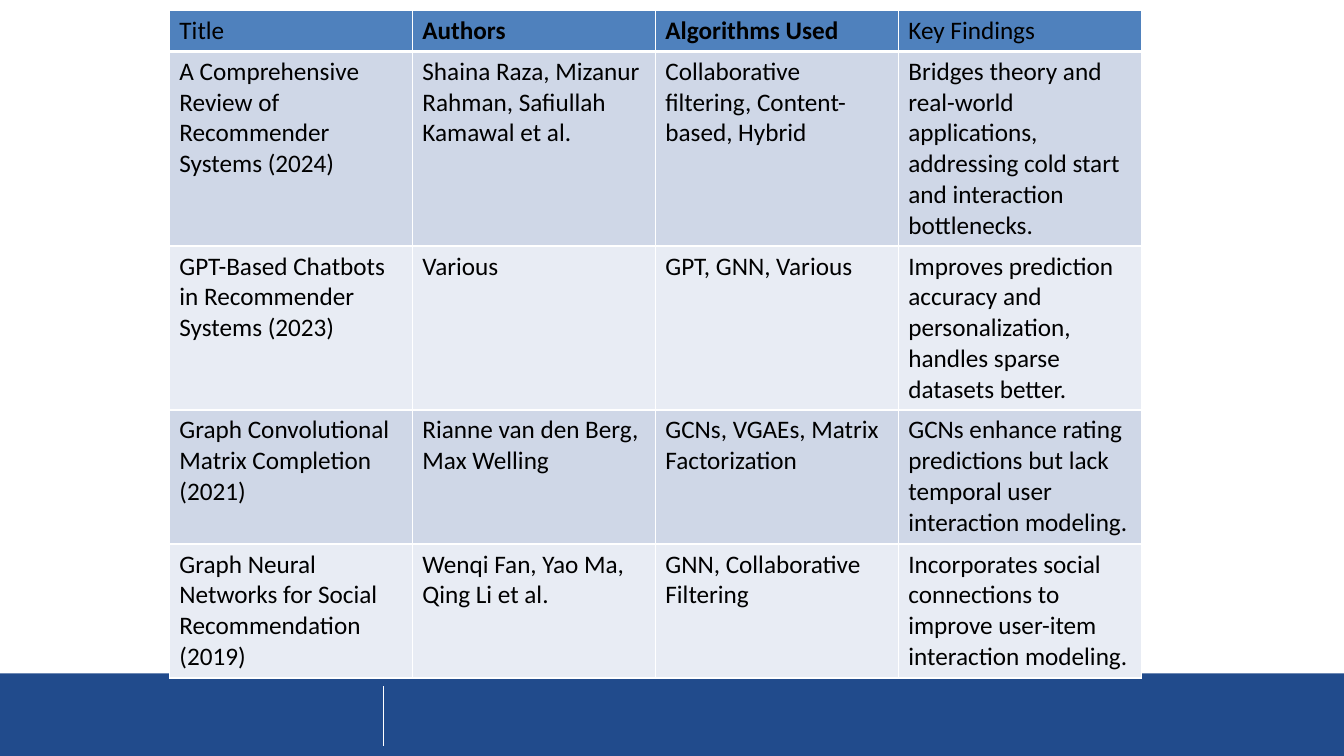
"""Build a slide with a literature table on recommender systems."""
from lxml.etree import SubElement
from pptx import Presentation
from pptx.dml.color import RGBColor
from pptx.enum.shapes import MSO_CONNECTOR, MSO_SHAPE
from pptx.oxml.ns import qn
from pptx.util import Inches, Pt

HEADER = ["Title", "Authors", "Algorithms Used", "Key Findings"]
BOLD_HEADINGS = {"Authors", "Algorithms Used"}
PAPERS = [
    ("A Comprehensive Review of Recommender Systems (2024)",
     "Shaina Raza, Mizanur Rahman, Safiullah Kamawal et al.",
     "Collaborative filtering, Content-based, Hybrid",
     "Bridges theory and real-world applications, addressing cold start "
     "and interaction bottlenecks."),
    ("GPT-Based Chatbots in Recommender Systems (2023)",
     "Various",
     "GPT, GNN, Various",
     "Improves prediction accuracy and personalization, handles sparse "
     "datasets better."),
    ("Graph Convolutional Matrix Completion (2021)",
     "Rianne van den Berg, Max Welling",
     "GCNs, VGAEs, Matrix Factorization",
     "GCNs enhance rating predictions but lack temporal user interaction "
     "modeling."),
    ("Graph Neural Networks for Social Recommendation (2019)",
     "Wenqi Fan, Yao Ma, Qing Li et al.",
     "GNN, Collaborative Filtering",
     "Incorporates social connections to improve user-item interaction "
     "modeling."),
]
ROW_HEIGHTS = [0.41, 1.87, 1.58, 1.33, 1.33]
COL_WIDTH = 2.41
HEADER_FILL = "4F81BD"
BAND_FILLS = ["CFD7E7", "E8ECF4"]
WHITE = "FFFFFF"


def rgb(value):
    return RGBColor.from_string(value)


def write(tf, text, size=18, font="Calibri", color="000000", bold=False):
    tf.word_wrap = True
    r = tf.paragraphs[0].add_run()
    r.text = text
    r.font.size, r.font.name, r.font.bold = Pt(size), font, bold
    r.font.color.rgb = rgb(color)


def set_borders(cell, **widths):
    tcPr = cell._tc.get_or_add_tcPr()
    for side in "LRTB":
        ln = SubElement(tcPr, qn(f"a:ln{side}"), w=str(Pt(widths.get(side, 1))))
        fill = SubElement(ln, qn("a:solidFill"))
        SubElement(fill, qn("a:srgbClr"), val=WHITE)


def add_footer(s):
    band = s.shapes.add_shape(MSO_SHAPE.RECTANGLE, 0, Inches(6.68),
                              Inches(13.33), Inches(0.82))
    band.shadow.inherit = False
    band.fill.solid()
    band.fill.fore_color.rgb = rgb("214B8C")
    band.line.fill.background()
    divider = s.shapes.add_connector(MSO_CONNECTOR.STRAIGHT, Inches(3.8),
                                     Inches(6.81), Inches(3.8), Inches(7.4))
    divider.line.color.rgb = rgb(WHITE)
    divider.line.width = Pt(0.75)
    SubElement(divider._element.spPr, qn("a:effectLst"))


def add_papers(s):
    rows = [HEADER, *PAPERS]
    table = s.shapes.add_table(
        len(rows), len(HEADER), Inches(1.68), Inches(0.1),
        Inches(COL_WIDTH * len(HEADER)), Inches(sum(ROW_HEIGHTS))).table
    for col in table.columns:
        col.width = Inches(COL_WIDTH)
    for i, (texts, height) in enumerate(zip(rows, ROW_HEIGHTS)):
        table.rows[i].height = Inches(height)
        fill = BAND_FILLS[(i - 1) % 2] if i else HEADER_FILL
        for j, text in enumerate(texts):
            cell = table.cell(i, j)
            set_borders(cell, T=3 if i == 1 else 1, B=3 if i == 0 else 1)
            cell.fill.solid()
            cell.fill.fore_color.rgb = rgb(fill)
            write(cell.text_frame, text, bold=i == 0 and text in BOLD_HEADINGS)


def main():
    prs = Presentation()
    prs.slide_width, prs.slide_height = Inches(13.33), Inches(7.5)
    s = prs.slides.add_slide(prs.slide_layouts[6])
    add_footer(s)
    add_papers(s)
    prs.save("out.pptx")


if __name__ == "__main__":
    main()
